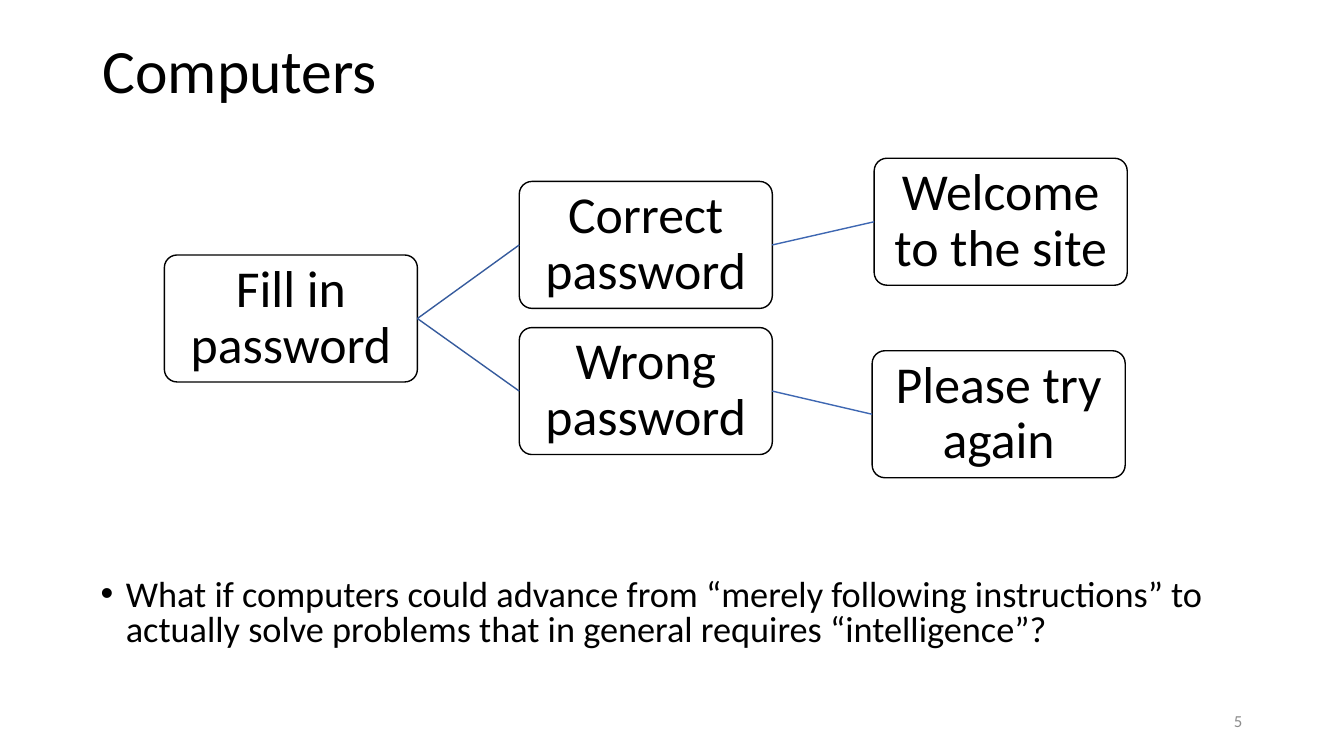
"""Build a slide showing a password decision tree and a question."""
from dataclasses import dataclass

from lxml import etree
from pptx import Presentation
from pptx.dml.color import RGBColor
from pptx.enum.shapes import MSO_CONNECTOR, MSO_SHAPE
from pptx.enum.text import MSO_ANCHOR, PP_ALIGN
from pptx.oxml.ns import qn
from pptx.util import Inches, Pt

STRAIGHT = MSO_CONNECTOR.STRAIGHT
ROUNDED = MSO_SHAPE.ROUNDED_RECTANGLE
TOP, MIDDLE = MSO_ANCHOR.TOP, MSO_ANCHOR.MIDDLE
LEFT, CENTER, RIGHT = PP_ALIGN.LEFT, PP_ALIGN.CENTER, PP_ALIGN.RIGHT
LEFT_SIDE, RIGHT_SIDE = 1, 3
NODE_W, NODE_H = 2.51, 1.26
BLACK, WHITE, GRAY = "000000", "FFFFFF", "8C8C8C"
DARK_BLUE, BLUE = "365B9D", "3E67B2"


@dataclass
class Node:
    text: str
    x: float
    y: float


@dataclass
class Link:
    start: str
    end: str
    color: str


NODES = [
    Node("Fill in password", 1.63, 2.53),
    Node("Correct password", 5.15, 1.8),
    Node("Welcome to the site", 8.67, 1.57),
    Node("Wrong password", 5.15, 3.25),
    Node("Please try again", 8.65, 3.48),
]
LINKS = [
    Link("Fill in password", "Correct password", DARK_BLUE),
    Link("Correct password", "Welcome to the site", BLUE),
    Link("Fill in password", "Wrong password", DARK_BLUE),
    Link("Wrong password", "Please try again", BLUE),
]


def rgb(color: str) -> RGBColor:
    return RGBColor.from_string(color)


def write(sp, text: str, *, size: float, color: str = BLACK, align=LEFT,
          anchor=MIDDLE, spacing: float = 0.9, inset: float | None = None,
          bullet: bool = False) -> None:
    tf = sp.text_frame
    tf.word_wrap = True
    tf.vertical_anchor = anchor
    if inset is not None:
        tf.margin_left = tf.margin_right = Inches(inset)
        tf.margin_top = tf.margin_bottom = Inches(inset)
    p = tf.paragraphs[0]
    p.alignment = align
    p.line_spacing = spacing
    if bullet:
        p_pr = p._p.get_or_add_pPr()
        p_pr.set("marL", str(Inches(0.25)))
        p_pr.set("indent", str(-Inches(0.25)))
        etree.SubElement(p_pr, qn("a:buFont")).set("typeface", "Arial")
        etree.SubElement(p_pr, qn("a:buChar")).set("char", "•")
    r = p.add_run()
    r.text = text
    r.font.name = "Calibri"
    r.font.size = Pt(size)
    r.font.color.rgb = rgb(color)


def add_text(s, text: str, x: float, y: float, w: float, h: float, **fmt) -> None:
    sp = s.shapes.add_textbox(Inches(x), Inches(y), Inches(w), Inches(h))
    write(sp, text, **fmt)


def add_node(s, node: Node):
    sp = s.shapes.add_shape(ROUNDED, Inches(node.x), Inches(node.y),
                            Inches(NODE_W), Inches(NODE_H))
    sp.adjustments[0] = 0.1
    sp.shadow.inherit = False
    sp.fill.solid()
    sp.fill.fore_color.rgb = rgb(WHITE)
    sp.line.color.rgb = rgb(BLACK)
    sp.line.width = Pt(1)
    write(sp, node.text, size=37, align=CENTER, inset=0.03)
    return sp


def add_link(s, link: Link, boxes: dict) -> None:
    line = s.shapes.add_connector(STRAIGHT, 0, 0, 0, 0)
    line.begin_connect(boxes[link.start], RIGHT_SIDE)
    line.end_connect(boxes[link.end], LEFT_SIDE)
    line.line.color.rgb = rgb(link.color)
    line.line.width = Pt(1)
    etree.SubElement(line._element.spPr, qn("a:effectLst"))


def main() -> None:
    prs = Presentation()
    prs.slide_width, prs.slide_height = Inches(13.33), Inches(7.5)
    s = prs.slides.add_slide(prs.slide_layouts[6])
    add_text(s, "Computers", 0.92, 0, 11.5, 1.45, size=44)
    boxes = {node.text: add_node(s, node) for node in NODES}
    for link in LINKS:
        add_link(s, link, boxes)
    add_text(s, "What if computers could advance from “merely following instructions” "
             "to actually solve problems that in general requires “intelligence”?",
             0.9, 5.7, 11.5, 0.85, size=25.9, anchor=TOP, spacing=0.8, bullet=True)
    add_text(s, "5", 9.42, 6.95, 3, 0.4, size=12, color=GRAY, align=RIGHT, spacing=1.0)
    prs.save("out.pptx")


if __name__ == "__main__":
    main()
